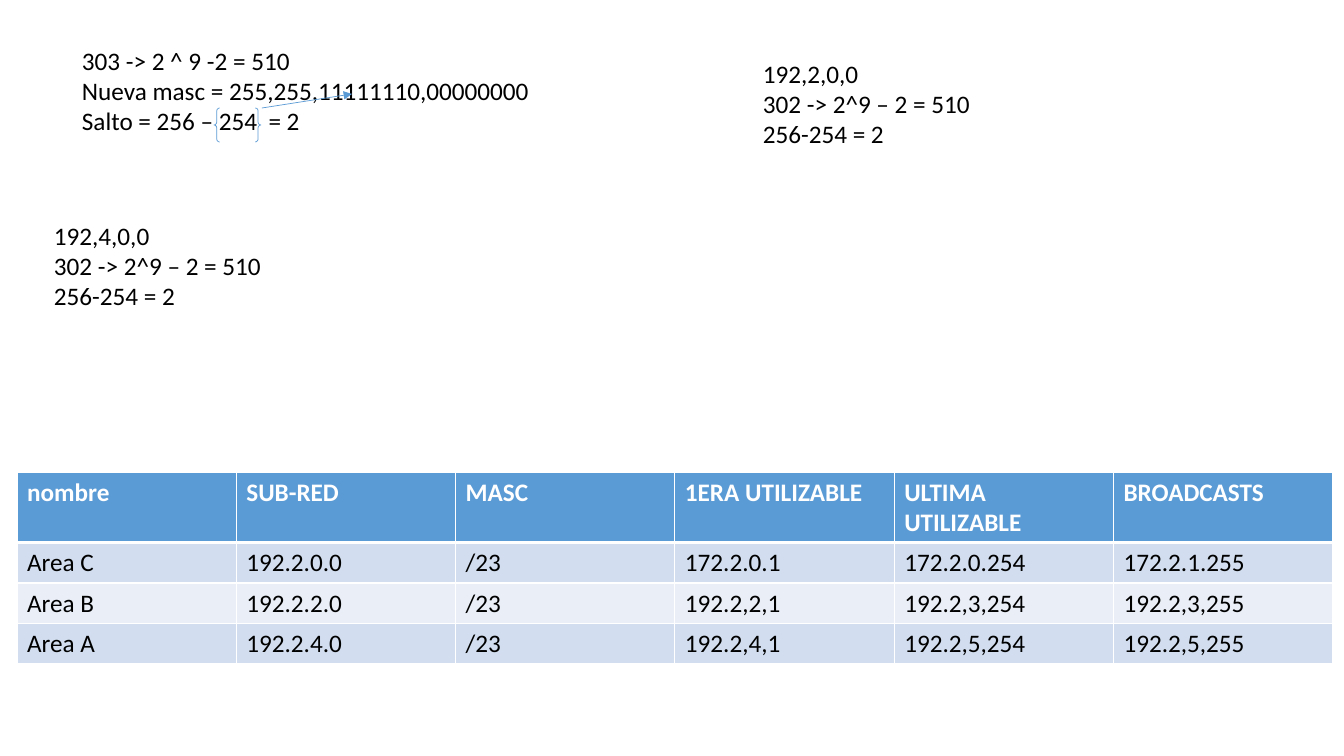
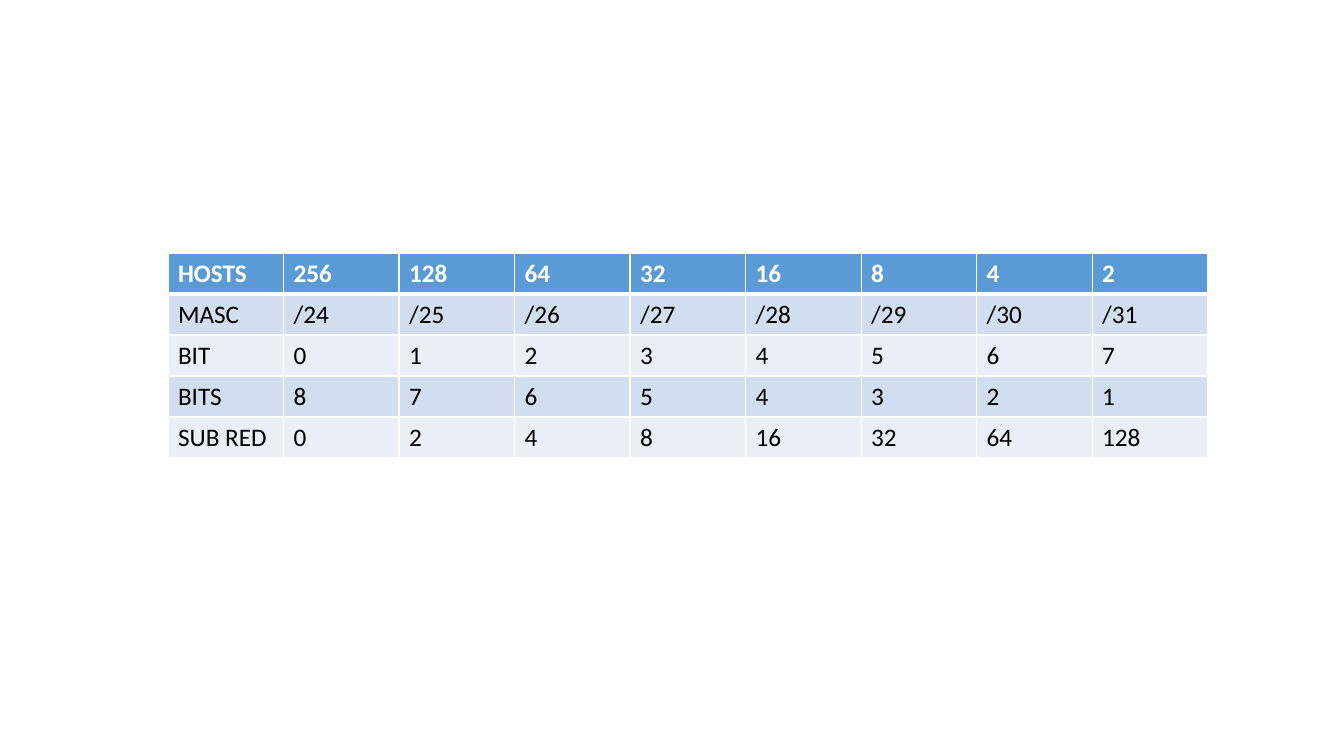
from pptx import Presentation
from pptx.dml.color import RGBColor
from pptx.enum.shapes import MSO_CONNECTOR, MSO_SHAPE
from pptx.enum.text import MSO_AUTO_SIZE
from pptx.oxml.ns import qn
from pptx.util import Inches, Pt
from lxml import etree

STRAIGHT = MSO_CONNECTOR.STRAIGHT
BRACES = MSO_SHAPE.DOUBLE_BRACE
GROW = MSO_AUTO_SIZE.SHAPE_TO_FIT_TEXT

WHITE = RGBColor(0xFF, 0xFF, 0xFF)
BLACK = RGBColor(0x00, 0x00, 0x00)
BLUE = RGBColor(0x5B, 0x9B, 0xD5)
BANDS = RGBColor(0xEA, 0xEF, 0xF7), RGBColor(0xD2, 0xDE, 0xEF)

SCALE = Inches(1) / 100.8
WIDTH, HEIGHT = 1344, 756


def px(*lengths):
    """Turn px lengths into EMU."""
    return [round(n * SCALE) for n in lengths]


class Deck:
    """Holds the presentation, its style and the current slide."""

    font = {"name": "Calibri", "size": Pt(18), "bold": False}

    def __init__(self):
        """Start an empty widescreen presentation."""
        self.prs = Presentation()
        self.prs.slide_width, self.prs.slide_height = px(WIDTH, HEIGHT)
        self.s = None

    def slide(self):
        """Add a blank slide and make it current."""
        self.s = self.prs.slides.add_slide(self.prs.slide_layouts[6])

    def fill_text(self, tf, lines, color=BLACK, **extra):
        """Fill a text frame with one paragraph per line."""
        for i, line in enumerate(lines):
            p = tf.paragraphs[0] if i == 0 else tf.add_paragraph()
            r = p.add_run()
            r.text = line
            for name, value in {**self.font, **extra}.items():
                setattr(r.font, name, value)
            r.font.color.rgb = color

    def text(self, at, lines, wrap=False):
        """Add a text box."""
        tf = self.s.shapes.add_textbox(*px(*at)).text_frame
        tf.word_wrap = wrap
        tf.auto_size = GROW
        self.fill_text(tf, lines)

    def border(self, cell, widths):
        """Draw white cell borders, with a width in points for each side."""
        tcPr = cell._tc.get_or_add_tcPr()
        for side, width in widths.items():
            ln = etree.SubElement(tcPr, qn(f"a:ln{side}"), w=str(Pt(width)))
            fill = etree.SubElement(ln, qn("a:solidFill"))
            etree.SubElement(fill, qn("a:srgbClr"), val=str(WHITE))

    def table(self, left, top, width, heights, rows):
        """Add a table with a blue header and banded rows."""
        at = px(left, top, width, sum(heights))
        table = self.s.shapes.add_table(len(rows), len(rows[0]), *at).table
        for i, (row, height) in enumerate(zip(rows, heights)):
            table.rows[i].height = px(height)[0]
            header = i == 0
            widths = {"L": 1, "R": 1, "T": 3 if i == 1 else 1, "B": 3 if header else 1}
            for j, value in enumerate(row):
                cell = table.cell(i, j)
                self.border(cell, widths)
                cell.fill.solid()
                cell.fill.fore_color.rgb = BLUE if header else BANDS[i % 2]
                color = WHITE if header else BLACK
                self.fill_text(cell.text_frame, [str(value)], color, bold=header)

    def outline(self, shape):
        """Give a shape or connector the thin blue line."""
        shape.line.color.rgb = BLUE
        shape.line.width = Pt(0.5)

    def braces(self, at):
        """Add a pair of braces."""
        sp = self.s.shapes.add_shape(BRACES, *px(*at))
        sp.shadow.inherit = False
        sp.fill.background()
        self.outline(sp)

    def arrow(self, start, end):
        """Add a straight arrow."""
        line = self.s.shapes.add_connector(STRAIGHT, *px(*start, *end))
        self.outline(line)
        spPr = line.element.spPr
        etree.SubElement(spPr.find(qn("a:ln")), qn("a:tailEnd"), type="triangle")
        etree.SubElement(spPr, qn("a:effectLst"))


def main():
    """Build and save the slides."""
    deck = Deck()

    deck.slide()
    deck.text((72, 40, 473, 102), [
        "303 -> 2 ^ 9 -2 = 510",
        "Nueva masc = 255,255,11111110,00000000",
        "Salto = 256 – 254  = 2",
    ])
    jump = ["302 -> 2^9 – 2 = 510", "256-254 = 2"]
    deck.text((753, 53, 230, 132), ["192,2,0,0", *jump])
    deck.text((44, 215, 672, 102), ["192,4,0,0", *jump], wrap=True)
    deck.table(17, 472, 1316, [70, 40, 40, 40], [
        ["nombre", "SUB-RED", "MASC", "1ERA UTILIZABLE", "ULTIMA UTILIZABLE", "BROADCASTS"],
        ["Area C", "192.2.0.0", "/23", "172.2.0.1", "172.2.0.254", "172.2.1.255"],
        ["Area B", "192.2.2.0", "/23", "192.2,2,1", "192.2,3,254", "192.2,3,255"],
        ["Area A", "192.2.4.0", "/23", "192.2,4,1", "192.2,5,254", "192.2,5,255"],
    ])
    deck.braces((214, 108, 47, 34))
    deck.arrow((262, 108), (352, 94))

    deck.slide()
    bits = range(8)
    deck.table(168, 253, 1040, [41] * 5, [
        ["HOSTS", *(2 ** (8 - b) for b in bits)],
        ["MASC", *(f"/{24 + b}" for b in bits)],
        ["BIT", *bits],
        ["BITS", *(8 - b for b in bits)],
        ["SUB RED", 0, *(2 ** b for b in bits[1:])],
    ])

    deck.prs.save("out.pptx")


if __name__ == "__main__":
    main()
